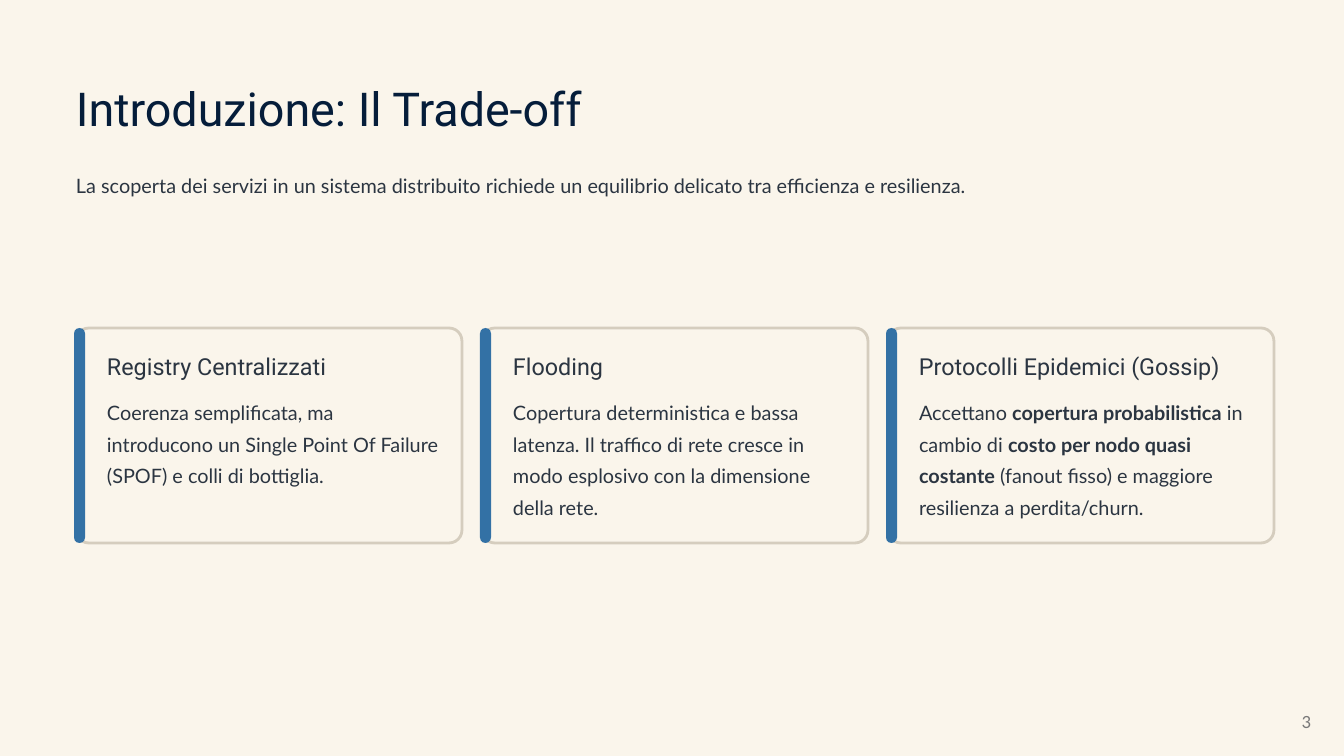
import pptx
import pptx.util
import pptx.dml.color
import pptx.enum.shapes
import pptx.enum.text

RGBColor = pptx.dml.color.RGBColor
CREAM = RGBColor(0xFA, 0xF5, 0xEB)
NAVY = RGBColor(0x05, 0x1D, 0x3A)
SLATE = RGBColor(0x2B, 0x35, 0x41)
SAND = RGBColor(0xD5, 0xCD, 0xBE)
BLUE = RGBColor(0x33, 0x71, 0xA5)
GRAY = RGBColor(0x79, 0x79, 0x79)

ALIGN = pptx.enum.text.PP_ALIGN
ANCHOR = pptx.enum.text.MSO_ANCHOR
ROUNDED = pptx.enum.shapes.MSO_SHAPE.ROUNDED_RECTANGLE
Pt = pptx.util.Pt


def px(n):
    return pptx.util.Emu(round(n * 914400 / 84))


def add_text(s, runs, x, y, w, h, font="Lato", size=17, color=SLATE,
             spacing=27, wrap=False, align=ALIGN.LEFT, anchor=ANCHOR.TOP, inset=0):
    tf = s.shapes.add_textbox(px(x), px(y), px(w), px(h)).text_frame
    tf.margin_left = tf.margin_right = tf.margin_top = tf.margin_bottom = px(inset)
    tf.word_wrap = wrap
    tf.vertical_anchor = anchor
    p = tf.paragraphs[0]
    p.alignment = align
    if spacing:
        p.line_spacing = Pt(spacing)
    for i, text in enumerate(runs):
        r = p.add_run()
        r.text = text
        r.font.name = font
        r.font.size = Pt(size)
        r.font.color.rgb = color
        r.font.bold = i % 2 == 1


prs = pptx.Presentation()
prs.slide_width = px(1344)
prs.slide_height = px(756)
s = prs.slides.add_slide(prs.slide_layouts[6])
s.background.fill.solid()
s.background.fill.fore_color.rgb = CREAM

add_text(s, ["Introduzione: Il Trade-off"], 76, 78, 1066, 59,
         font="Roboto", size=40, color=NAVY, spacing=50)
add_text(s, ["La scoperta dei servizi in un sistema distribuito richiede "
             "un equilibrio delicato tra efficienza e resilienza."], 76, 166, 1197, 32)

cards = [
    ("Registry Centralizzati",
     ["Coerenza semplificata, ma introducono un Single Point Of Failure "
      "(SPOF) e colli di bottiglia."]),
    ("Flooding",
     ["Copertura deterministica e bassa latenza. Il traffico di rete cresce "
      "in modo esplosivo con la dimensione della rete."]),
    ("Protocolli Epidemici (Gossip)",
     ["Accettano ", "copertura probabilistica", " in cambio di ",
      "costo per nodo quasi costante",
      " (fanout fisso) e maggiore resilienza a perdita/churn."]),
]
for i, (heading, body) in enumerate(cards):
    x = 76 + 406 * i
    for left, width, radius, fill in ((x, 386, 0.06, CREAM), (x - 2, 11, 0.5, BLUE)):
        sp = s.shapes.add_shape(ROUNDED, px(left), px(328), px(width), px(215))
        sp.shadow.inherit = False
        sp.adjustments[0] = radius
        sp.fill.solid()
        sp.fill.fore_color.rgb = fill
        if fill == CREAM:
            sp.line.color.rgb = SAND
            sp.line.width = Pt(2.4)
        else:
            sp.line.fill.background()
    add_text(s, [heading], x + 31, 351, 312, 29, font="Roboto", size=20, spacing=25)
    add_text(s, body, x + 31, 393, 332, 128, wrap=True)

add_text(s, ["3"], 1016, 701, 303, 40, font="Calibri", size=16, color=GRAY,
         spacing=None, wrap=True, align=ALIGN.RIGHT, anchor=ANCHOR.MIDDLE, inset=8)

prs.save("out.pptx")
